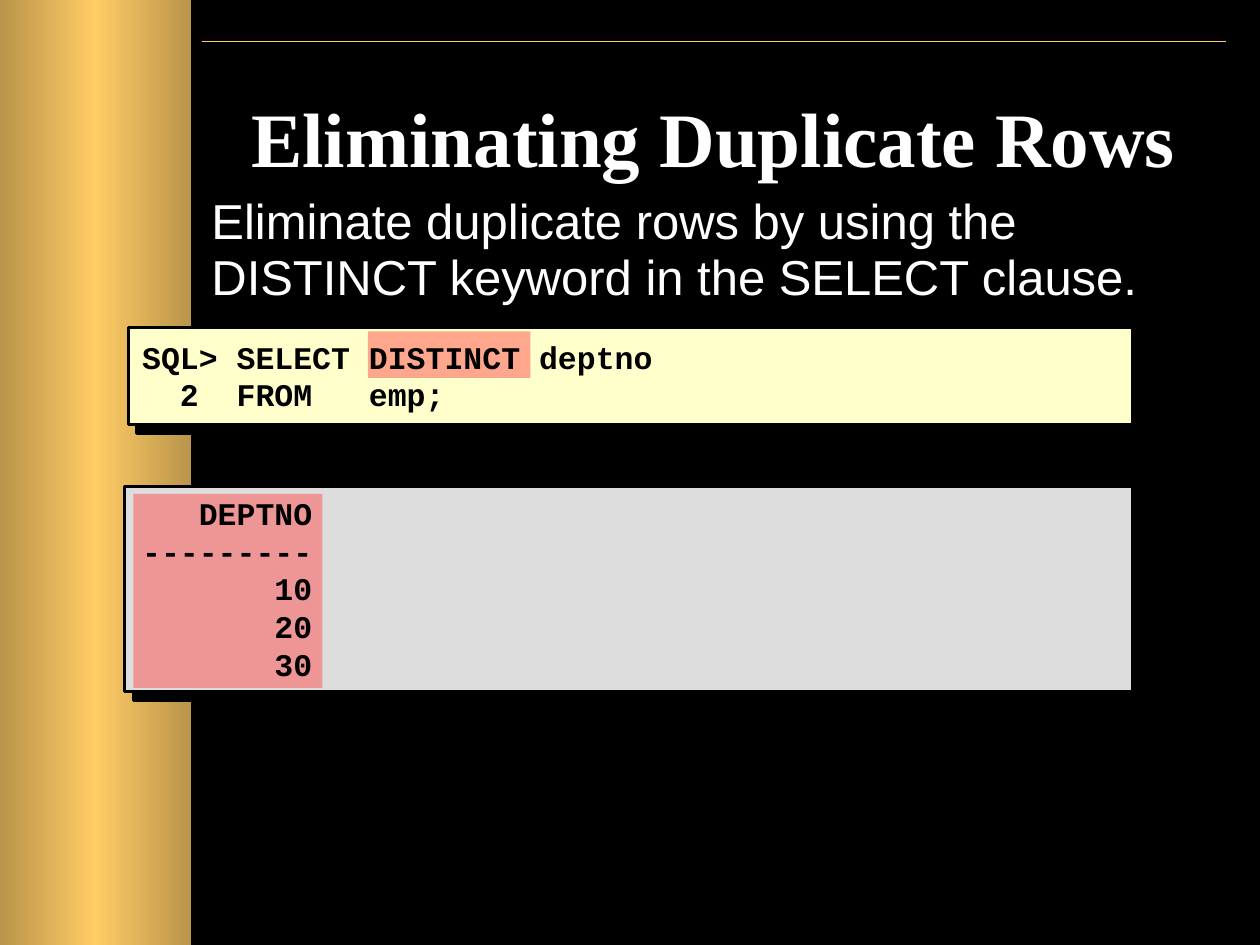
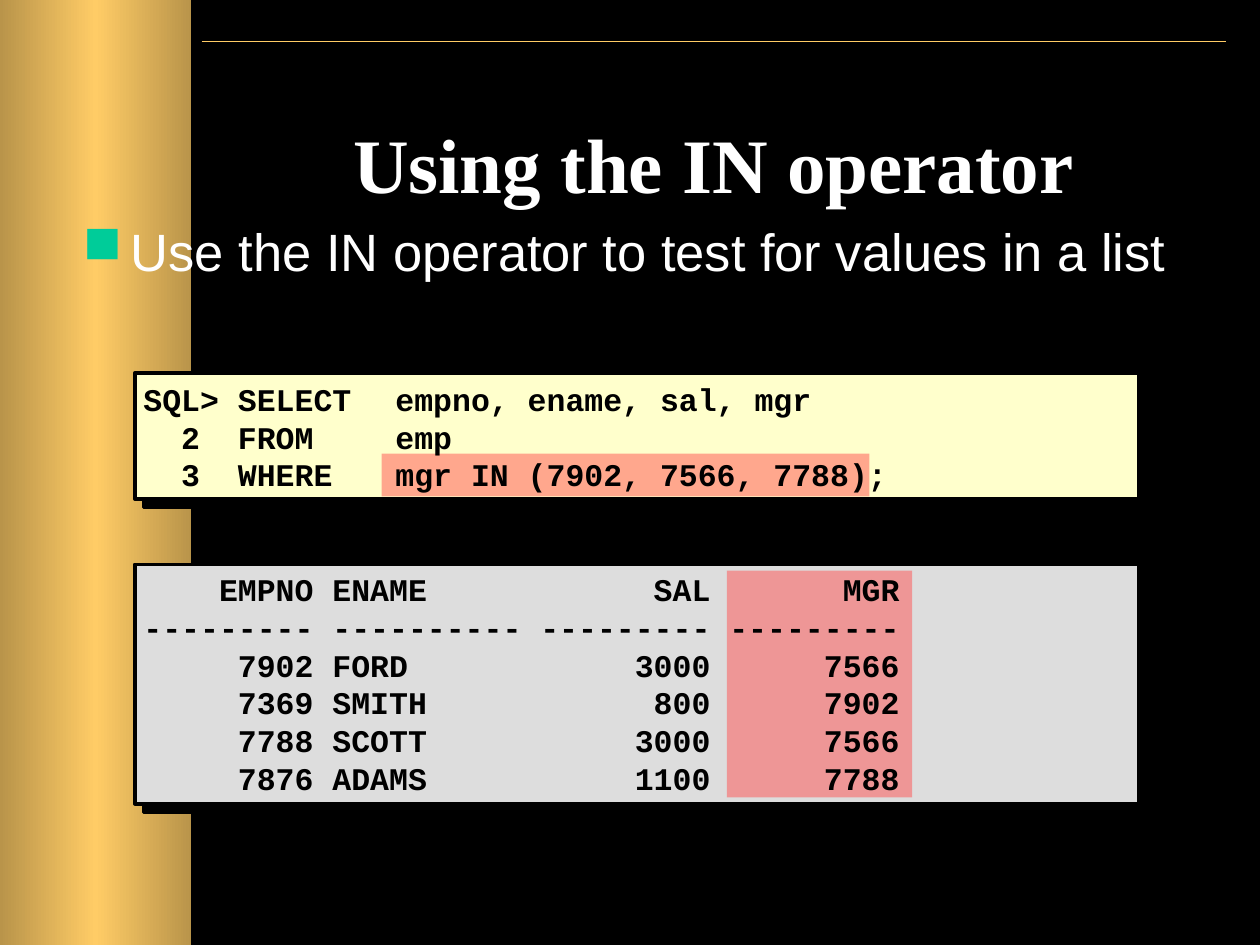
from copy import deepcopy

from lxml.etree import SubElement
from pptx import Presentation
from pptx.dml.color import RGBColor
from pptx.enum.shapes import MSO_CONNECTOR as CONNECTOR, MSO_SHAPE as SHAPE
from pptx.enum.text import MSO_ANCHOR as ANCHOR, MSO_AUTO_SIZE as AUTO_SIZE, PP_ALIGN as ALIGN
from pptx.oxml.ns import qn
from pptx.util import Inches, Pt

BLACK, WHITE = "000000", "FFFFFF"
GOLD, DARK_GOLD = "FFCC66", "B9944A"
QUERY_FILL, RESULT_FILL = "FFFFCC", "DDDDDD"
HIGHLIGHT, BULLET = "FF5050", "00CC99"
TITLE_BOX = (1.59, 0.67, 8.15, 1.25)
CODE_FORMAT = dict(font="Courier New", size=18, color=BLACK, bold=True)

SLIDES = [
    dict(
        title="Eliminating Duplicate Rows",
        title_anchor=ANCHOR.TOP,
        lead="Eliminate duplicate rows by using the DISTINCT keyword in the SELECT clause.",
        lead_box=(1.58, 1.5, 8.06, 0.99),
        lead_format=dict(size=28, spacing=0.95),
        query=dict(
            panel=(1.02, 2.6, 7.97, 0.77),
            highlight=(2.92, 2.63, 1.29, 0.37),
            code_box=(1.03, 2.58, 8, 0.8),
            anchor=ANCHOR.MIDDLE,
            code="""SQL> SELECT DISTINCT deptno
  2  FROM   emp;""",
        ),
        result=dict(
            panel=(0.99, 3.86, 8, 1.63),
            highlight=(1.06, 3.92, 1.5, 1.54),
            code_box=(1.03, 3.87, 7.97, 1.9),
            anchor=ANCHOR.TOP,
            code="""   DEPTNO
---------
       10
       20
       30""",
        ),
    ),
    dict(
        title="Using the IN operator",
        title_anchor=ANCHOR.MIDDLE,
        lead="Use the IN operator to test for values in a list",
        lead_box=(0.56, 1.69, 9, 1.1),
        lead_format=dict(size=30, bullet="■"),
        query=dict(
            panel=(1.07, 2.96, 7.97, 1),
            highlight=(3.03, 3.6, 3.87, 0.34),
            code_box=(1.04, 2.95, 8, 1.03),
            anchor=ANCHOR.MIDDLE,
            code="""SQL> SELECT\tempno, ename, sal, mgr
  2  FROM \temp
  3  WHERE\tmgr IN (7902, 7566, 7788);""",
        ),
        result=dict(
            panel=(1.07, 4.48, 7.97, 1.9),
            highlight=(5.77, 4.53, 1.47, 1.8),
            code_box=(1.04, 4.46, 8, 1.93),
            anchor=ANCHOR.MIDDLE,
            code="""    EMPNO ENAME            SAL       MGR
--------- ---------- --------- ---------
     7902 FORD            3000      7566
     7369 SMITH            800      7902
     7788 SCOTT           3000      7566
     7876 ADAMS           1100      7788""",
        ),
    ),
]


def rgb(color):
    """Turn a hex string into a colour."""
    return RGBColor.from_string(color)


def inches(box):
    """Convert a tuple of numbers to lengths."""
    return [Inches(length) for length in box]


def write(frame, text, *, font="Arial", size=18, color=WHITE, bold=False,
          align=ALIGN.LEFT, anchor=ANCHOR.TOP, spacing=None, bullet=None):
    """Fill a text frame with one paragraph per line of text."""
    frame.word_wrap = True
    frame.auto_size = AUTO_SIZE.NONE
    frame.vertical_anchor = anchor
    for number, line in enumerate(text.split("\n")):
        paragraph = frame.add_paragraph() if number else frame.paragraphs[0]
        if bullet:
            add_bullet(paragraph, bullet)
        paragraph.alignment = align
        if spacing:
            paragraph.line_spacing = spacing
        run = paragraph.add_run()
        run.text = line
        run.font.name = font
        run.font.size = Pt(size)
        run.font.bold = bold
        run.font.color.rgb = rgb(color)


def add_bullet(paragraph, character):
    """Give a paragraph a coloured bullet and a hanging indent."""
    properties = paragraph._p.get_or_add_pPr()
    properties.set("marL", str(Inches(0.38)))
    properties.set("indent", str(-Inches(0.38)))
    bullet_color = SubElement(properties, qn("a:buClr"))
    SubElement(bullet_color, qn("a:srgbClr"), val=BULLET)
    SubElement(properties, qn("a:buChar"), char=character)


def add_text(slide, box, text, **text_format):
    """Add a text box."""
    write(slide.shapes.add_textbox(*inches(box)).text_frame, text, **text_format)


def add_rectangle(slide, box, fill=None):
    """Add a plain rectangle without outline or shadow."""
    rectangle = slide.shapes.add_shape(SHAPE.RECTANGLE, *inches(box))
    rectangle.shadow.inherit = False
    rectangle.line.fill.background()
    if fill:
        rectangle.fill.solid()
        rectangle.fill.fore_color.rgb = rgb(fill)
    return rectangle


def add_panel(slide, box, fill):
    """Add a black-edged rectangle with a hard drop shadow."""
    panel = add_rectangle(slide, box, fill)
    panel.line.color.rgb = rgb(BLACK)
    panel.line.width = Pt(2)
    effects = panel.element.spPr.find(qn("a:effectLst"))
    shadow = SubElement(effects, qn("a:outerShdw"), dist=str(Pt(7.1)),
                        dir="2700000", algn="ctr", rotWithShape="0")
    SubElement(shadow, qn("a:srgbClr"), val=BLACK)


def add_highlight(slide, box):
    """Add a half-transparent marker."""
    marker = add_rectangle(slide, box, HIGHLIGHT)
    marker_color = marker.element.spPr.find(qn("a:solidFill"))[0]
    SubElement(marker_color, qn("a:alpha"), val="50000")


def add_listing(slide, listing, fill):
    """Add a panel with its highlight and code."""
    add_panel(slide, listing["panel"], fill)
    add_highlight(slide, listing["highlight"])
    add_text(slide, listing["code_box"], listing["code"],
             anchor=listing["anchor"], **CODE_FORMAT)


def decorate_master(master, slide):
    """Draw the gold band and top rule and move them to the master."""
    master.background.fill.solid()
    master.background.fill.fore_color.rgb = rgb(BLACK)
    band = add_rectangle(slide, (0, 0, 1.52, 7.5))
    band.fill.gradient()
    band.fill.gradient_angle = 0
    first, middle = band.fill.gradient_stops
    first.color.rgb, first.position = rgb(DARK_GOLD), 0
    middle.color.rgb, middle.position = rgb(GOLD), 0.5
    stops = band.element.spPr.find(".//" + qn("a:gsLst"))
    last = deepcopy(stops[0])
    last.set("pos", "100000")
    stops.append(last)

    rule = slide.shapes.add_connector(CONNECTOR.STRAIGHT, *inches((1.6, 0.33, 9.73, 0.33)))
    rule.line.color.rgb = rgb(GOLD)
    rule.line.width = Pt(1)
    SubElement(rule.element.spPr, qn("a:effectLst"))
    for part in (band, rule):
        master.shapes.element.insert(2, part.element)


def build_slide(slide, content):
    """Place the title, lead sentence, query and result."""
    title = slide.shapes.title
    title.left, title.top, title.width, title.height = inches(TITLE_BOX)
    write(title.text_frame, content["title"], font="Times New Roman", size=44,
          bold=True, align=ALIGN.CENTER, anchor=content["title_anchor"])
    add_listing(slide, content["query"], QUERY_FILL)
    add_listing(slide, content["result"], RESULT_FILL)
    add_text(slide, content["lead_box"], content["lead"], **content["lead_format"])


def main():
    """Build and save the presentation."""
    deck = Presentation()
    deck.slide_width, deck.slide_height = Inches(10), Inches(7.5)
    title_only = deck.slide_layouts[5]
    for number, content in enumerate(SLIDES):
        slide = deck.slides.add_slide(title_only)
        if number == 0:
            decorate_master(deck.slide_master, slide)
        build_slide(slide, content)
    deck.save("out.pptx")


if __name__ == "__main__":
    main()
